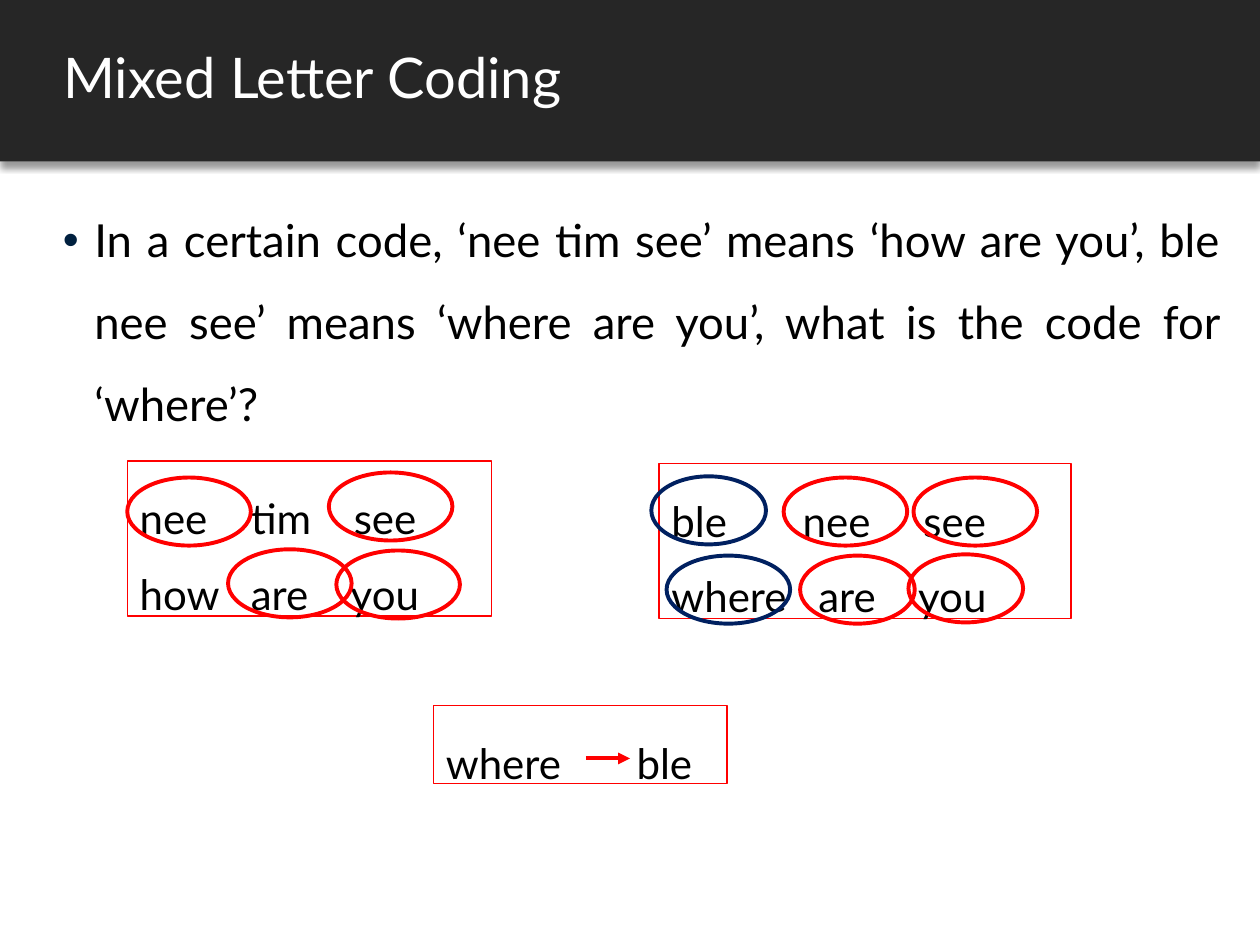
from lxml.etree import SubElement as Sub
from pptx import Presentation
from pptx.dml.color import RGBColor
from pptx.enum.shapes import MSO_CONNECTOR as Link, MSO_SHAPE as Kind
from pptx.enum.text import MSO_ANCHOR as Anchor, MSO_AUTO_SIZE as Auto, PP_ALIGN as Align
from pptx.oxml.ns import qn
from pptx.util import Pt

RED, NAVY, BLACK, WHITE, DARK = "FF0000", "002060", "000000", "FFFFFF", "262626"
WIDE, SLIM = 70.6, 65.5


def paint(code):
    return RGBColor.from_string(code)


def add(node, tag, **marks):
    return Sub(node, qn("a:" + tag), {key: str(val) for key, val in marks.items()})


class Page:
    font = "Lato"
    thin, bold = 0.75, 2.25
    tall = 38.9

    def __init__(self, deck):
        self.slide = deck.slides.add_slide(deck.slide_layouts[5])
        self.shapes = self.slide.shapes

    def style(self, para, size, color, space):
        para.line_spacing = space
        for run in para.runs:
            run.font.name = self.font
            run.font.size = Pt(size)
            run.font.color.rgb = paint(color)

    def shape(self, kind, *place):
        item = self.shapes.add_shape(kind, *map(Pt, place))
        item.shadow.inherit = False
        return item

    def frame(self, kind, color, width, *place):
        item = self.shape(kind, *place)
        item.fill.background()
        item.line.color.rgb = paint(color)
        item.line.width = Pt(width)
        return item

    def title(self, text, *place):
        head = self.shapes.title
        head.left, head.top, head.width, head.height = map(Pt, place)
        head.text_frame.text = text
        head.text_frame.vertical_anchor = Anchor.MIDDLE
        head.text_frame.word_wrap = True
        head.text_frame.auto_size = Auto.NONE
        para = head.text_frame.paragraphs[0]
        para.alignment = Align.LEFT
        para.space_after = Pt(6)
        self.style(para, 32, WHITE, 0.9)

    def band(self, *place):
        bar = self.shape(Kind.RECTANGLE, *place)
        bar.fill.solid()
        bar.fill.fore_color.rgb = paint(DARK)
        bar.line.fill.background()
        glow = bar.element.spPr.find(qn("a:effectLst"))
        shade = add(glow, "outerShdw", blurRad=Pt(4), dist=Pt(3), dir=5400000,
                    algn="t", rotWithShape=0)
        add(add(shade, "srgbClr", val=BLACK), "alpha", val=40000)
        self.shapes.title.element.addprevious(bar.element)

    def bullet(self, text, *place):
        body = self.shapes.add_textbox(*map(Pt, place)).text_frame
        body.word_wrap = True
        body.text = text
        para = body.paragraphs[0]
        para.alignment = Align.JUSTIFY
        props = para._p.get_or_add_pPr()
        props.set("marL", str(Pt(18)))
        props.set("indent", str(Pt(-18)))
        add(add(props, "buClr"), "srgbClr", val="00203F")
        add(props, "buFont", typeface="Arial")
        add(props, "buChar", char="•")
        self.style(para, 26, BLACK, 1.5)

    def words(self, rows, *place):
        text = self.frame(Kind.RECTANGLE, RED, self.thin, *place).text_frame
        text.word_wrap = True
        text.auto_size = Auto.SHAPE_TO_FIT_TEXT
        text.vertical_anchor = Anchor.TOP
        text.text = "\n".join("\t".join(row) for row, stops in rows)
        for para, (row, stops) in zip(text.paragraphs, rows):
            para.alignment = Align.JUSTIFY
            tabs = add(para._p.get_or_add_pPr(), "tabLst")
            for stop in stops:
                add(tabs, "tab", pos=Pt(stop), algn="l")
            self.style(para, 24, BLACK, 1.5)

    def ring(self, left, top, width, color):
        self.frame(Kind.OVAL, color, self.bold, left, top, width, self.tall)

    def arrow(self, *ends):
        line = self.shapes.add_connector(Link.STRAIGHT, *map(Pt, ends))
        line.line.color.rgb = paint(RED)
        line.line.width = Pt(self.bold)
        add(line.line._get_or_add_ln(), "tailEnd", type="triangle")
        add(line._element.spPr, "effectLst")


def main():
    deck = Presentation()
    deck.slide_width, deck.slide_height = Pt(720), Pt(540)
    page = Page(deck)
    page.title("Mixed Letter Coding", 28.8, 0, 691.2, 92.2)
    page.band(0, 0, 720, 92.2)
    page.bullet("In a certain code, ‘nee tim see’ means ‘how are you’, ble nee see’ "
                "means ‘where are you’, what is the code for ‘where’?",
                28.8, 102.2, 676.1, 425.5)

    page.words([(("ble", "nee", "see"), (75, 144)),
                (("where", "are", "you"), (84, 141))], 376.6, 265, 235.4, 88.6)
    page.words([(("nee", "tim", "see"), (63.5, 122.4)),
                (("how", "are", "you"), (63.5, 120.6))], 72.7, 263.5, 208.1, 88.6)
    page.words([(("where", "ble"), (109,))], 247.7, 403.2, 167.8, 44.6)
    page.arrow(334.8, 433.4, 360, 433.4)

    rings = [
        (72.7, 272.9, WIDE, RED), (187.9, 270, WIDE, RED),
        (130.3, 313.9, WIDE, RED), (192.2, 314.6, WIDE, RED),
        (372.2, 272.2, SLIM, NAVY), (447.8, 272.9, WIDE, RED),
        (522, 272.9, WIDE, RED), (380.9, 317.5, WIDE, NAVY),
        (457.2, 317.5, SLIM, RED), (519.1, 316.8, SLIM, RED),
    ]
    for ring in rings:
        page.ring(*ring)
    deck.save("out.pptx")


if __name__ == "__main__":
    main()
